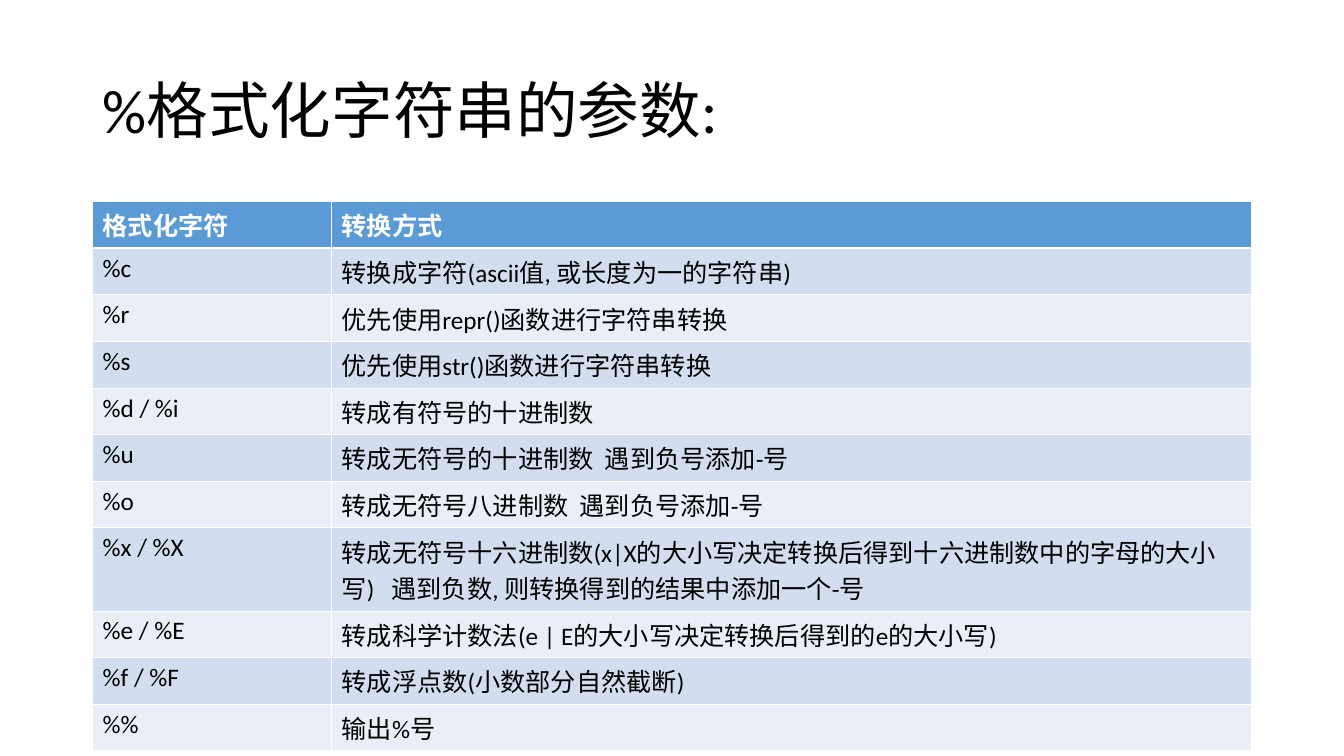
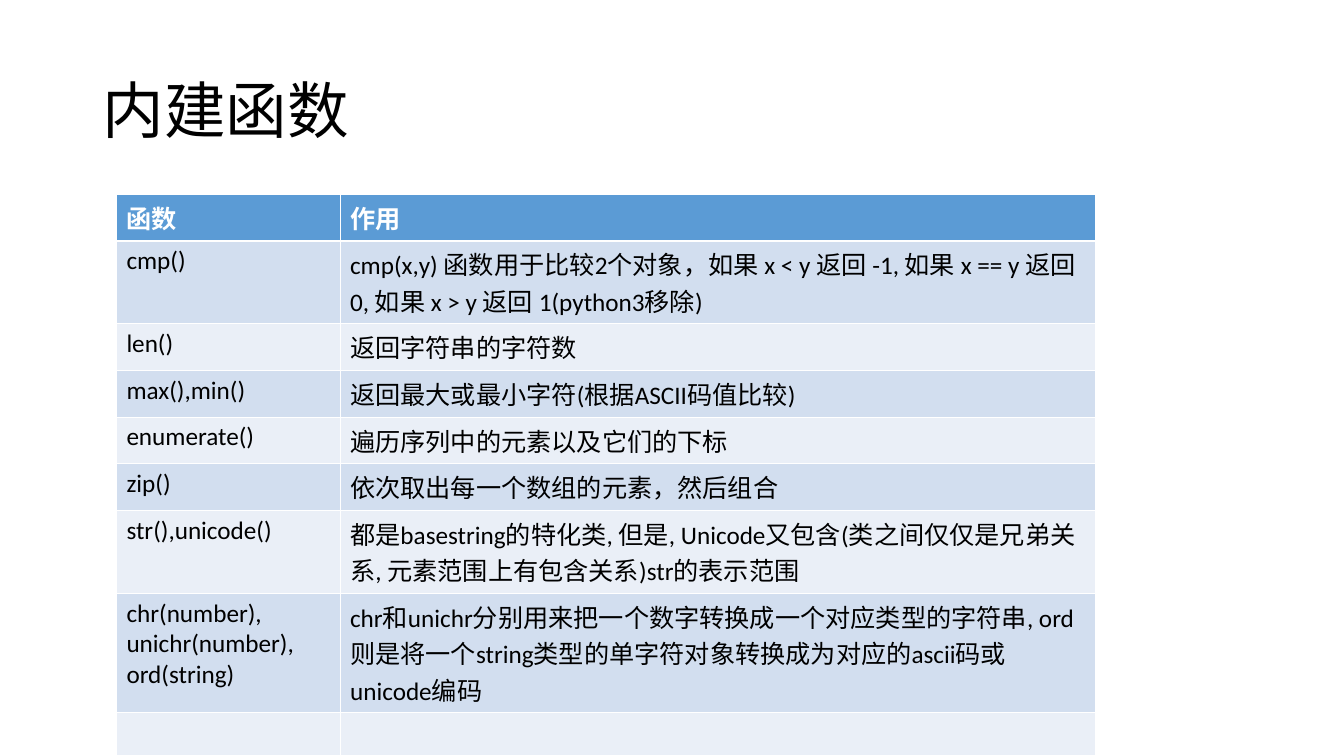
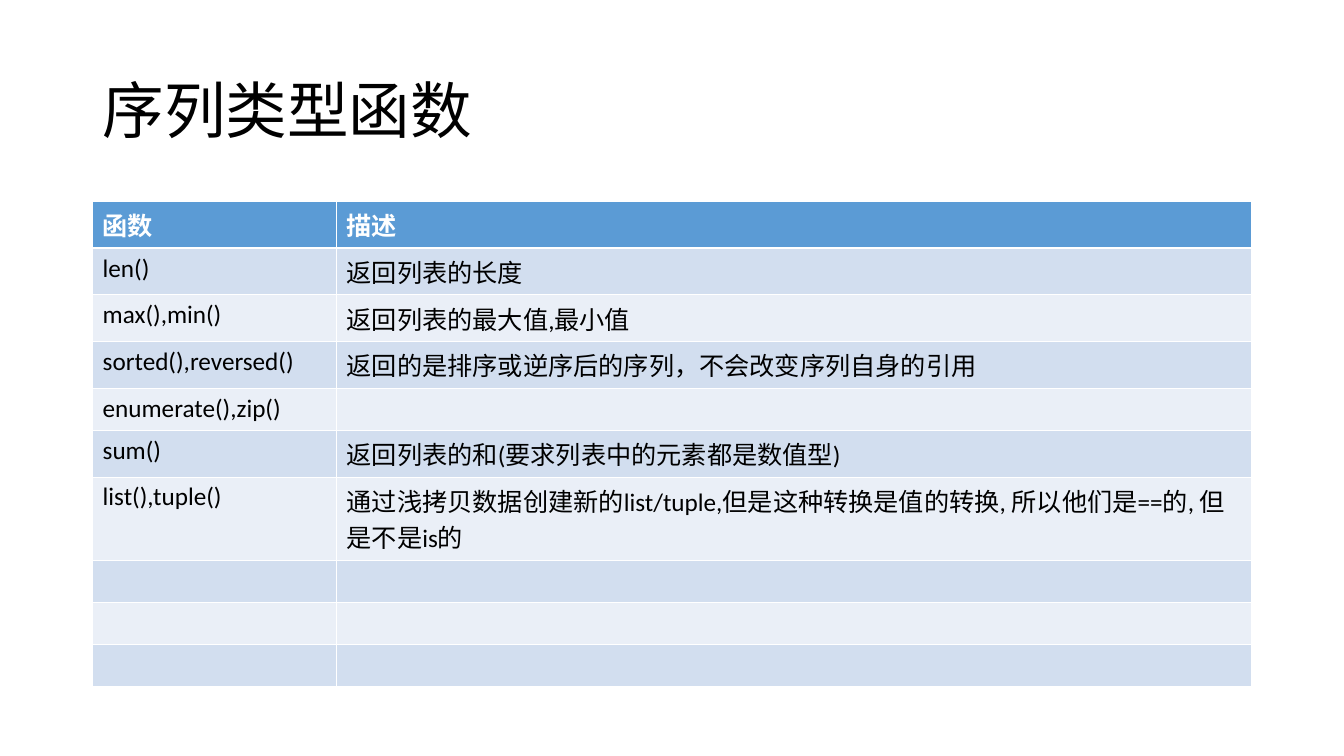
import pptx
import pptx.util
import pptx.dml.color
import pptx.enum.text
import pptx.oxml

Pt = pptx.util.Pt
COLORS = {"text": "000000", "white": "FFFFFF", "header": "5B9BD5",
          "odd": "D2DEEF", "even": "EAEFF7"}
TITLE_BOX = {"left": 66.2, "top": 28.8, "width": 828, "height": 104.4}
ROW = 30.2      # row of one line
ROW_2 = 50.4    # row of two lines
ROW_3 = 72      # row of three lines
THIN, THICK = 0.45, 1.47


def style_run(r, size, color, bold=False):
    for name, value in {"name": "Calibri", "size": Pt(size), "bold": bold}.items():
        setattr(r.font, name, value)
    r.font.color.rgb = pptx.dml.color.RGBColor.from_string(COLORS[color])


def add_border(cell, side, width):
    cell._tc.get_or_add_tcPr().append(pptx.oxml.parse_xml(
        f'<a:{side} xmlns:a="http://schemas.openxmlformats.org/drawingml/2006/main"'
        f' w="{Pt(width)}"><a:solidFill><a:srgbClr val="{COLORS["white"]}"/>'
        f'</a:solidFill></a:{side}>'))


# Slide contents: the first row of each table is its header
slides = [
    {"title": "%格式化字符串的参数:", "left": 66.2, "top": 144,
     "cols": [170.8, 657.2], "tall": {7: ROW_2},
     "rows": [
         ("格式化字符", "转换方式"),
         ("%c", "转换成字符(ascii值, 或长度为一的字符串)"),
         ("%r", "优先使用repr()函数进行字符串转换"),
         ("%s", "优先使用str()函数进行字符串转换"),
         ("%d / %i", "转成有符号的十进制数"),
         ("%u", "转成无符号的十进制数  遇到负号添加-号"),
         ("%o", "转成无符号八进制数  遇到负号添加-号"),
         ("%x / %X", "转成无符号十六进制数(x|X的大小写决定转换后得到十六进制数中的"
                     "字母的大小写)   遇到负数, 则转换得到的结果中添加一个-号"),
         ("%e / %E", "转成科学计数法(e | E的大小写决定转换后得到的e的大小写)"),
         ("%f / %F", "转成浮点数(小数部分自然截断)"),
         ("%%", "输出%号"),
     ]},
    {"title": "内建函数", "left": 83.2, "top": 138.6,
     "cols": [159.8, 539.6], "tall": {1: ROW_2, 6: ROW_2, 7: ROW_3},
     "rows": [
         ("函数", "作用"),
         ("cmp()", "cmp(x,y) 函数用于比较2个对象，如果 x < y 返回 -1, "
                   "如果 x == y 返回 0, 如果 x > y 返回 1(python3移除)"),
         ("len()", "返回字符串的字符数"),
         ("max(),min()", "返回最大或最小字符(根据ASCII码值比较)"),
         ("enumerate()", "遍历序列中的元素以及它们的下标"),
         ("zip()", "依次取出每一个数组的元素，然后组合"),
         ("str(),unicode()", "都是basestring的特化类, 但是, Unicode又包含"
                             "(类之间仅仅是兄弟关系, 元素范围上有包含关系)str的表示范围"),
         ("chr(number), unichr(number), ord(string)",
          "chr和unichr分别用来把一个数字转换成一个对应类型的字符串, "
          "ord则是将一个string类型的单字符对象转换成为对应的ascii码或unicode编码"),
         ("", ""),
     ]},
    {"title": "序列类型函数", "left": 66.2, "top": 144,
     "cols": [174.4, 653.6], "tall": {6: ROW_2},
     "rows": [
         ("函数", "描述"),
         ("len()", "返回列表的长度"),
         ("max(),min()", "返回列表的最大值,最小值"),
         ("sorted(),reversed()", "返回的是排序或逆序后的序列，不会改变序列自身的引用"),
         ("enumerate(),zip()", ""),
         ("sum()", "返回列表的和(要求列表中的元素都是数值型)"),
         ("list(),tuple()", "通过浅拷贝数据创建新的list/tuple,但是这种转换是值的转换, "
                            "所以他们是==的, 但是不是is的"),
         ("", ""),
         ("", ""),
         ("", ""),
     ]},
]

prs = pptx.Presentation()
prs.slide_width, prs.slide_height = Pt(960.4), Pt(540)

for content in slides:
    s = prs.slides.add_slide(prs.slide_layouts[5])

    # Title
    sp = s.shapes.title
    for name, value in TITLE_BOX.items():
        setattr(sp, name, Pt(value))
    tf = sp.text_frame
    tf.vertical_anchor = pptx.enum.text.MSO_ANCHOR.MIDDLE
    p = tf.paragraphs[0]
    p.alignment = pptx.enum.text.PP_ALIGN.LEFT
    p.line_spacing = 0.9
    r = p.add_run()
    r.text = content["title"]
    style_run(r, 44, "text")

    # Table grid
    rows, cols = content["rows"], content["cols"]
    heights = [content["tall"].get(i, ROW) for i in range(len(rows))]
    table = s.shapes.add_table(len(rows), len(cols), Pt(content["left"]), Pt(content["top"]),
                               Pt(sum(cols)), Pt(sum(heights))).table
    for column, width in zip(table.columns, cols):
        column.width = Pt(width)

    # Cells: borders, banded fill and text
    for i, texts in enumerate(rows):
        table.rows[i].height = Pt(heights[i])
        fill = "header" if i == 0 else "odd" if i % 2 else "even"
        borders = {"lnL": THIN, "lnR": THIN,
                   "lnT": THICK if i == 1 else THIN,
                   "lnB": THICK if i == 0 else THIN}
        for j, text in enumerate(texts):
            cell = table.cell(i, j)
            for side, width in borders.items():
                add_border(cell, side, width)
            cell.fill.solid()
            cell.fill.fore_color.rgb = pptx.dml.color.RGBColor.from_string(COLORS[fill])
            if text:
                r = cell.text_frame.paragraphs[0].add_run()
                r.text = text
                style_run(r, 18, "white" if i == 0 else "text", bold=i == 0)

prs.save("out.pptx")
